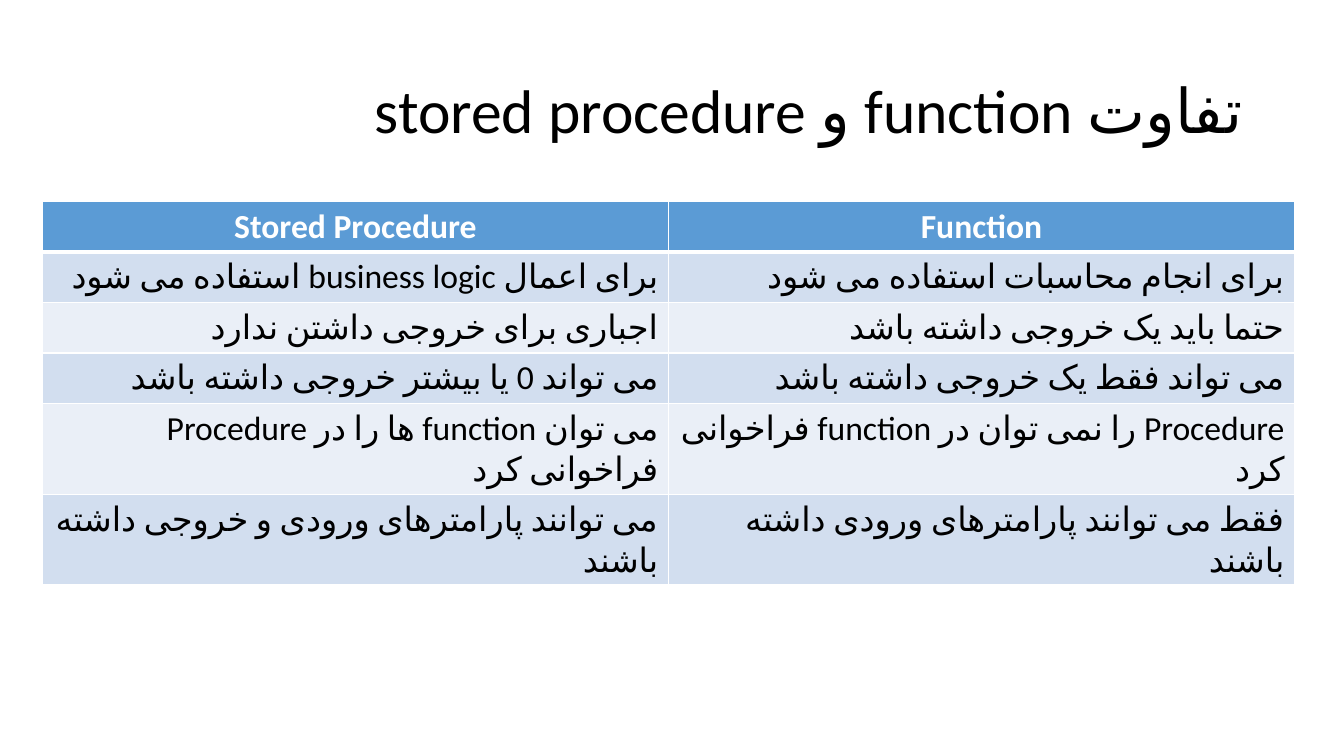
from lxml import etree
from pptx import Presentation
from pptx.dml.color import RGBColor
from pptx.enum.text import MSO_ANCHOR, PP_ALIGN
from pptx.oxml.ns import qn
from pptx.util import Inches, Pt

CENTER, RIGHT = PP_ALIGN.CENTER, PP_ALIGN.RIGHT
MIDDLE = MSO_ANCHOR.MIDDLE

# Content
TITLE = "تفاوت function و stored procedure"
ROWS = [
    ("Stored Procedure", "Function"),
    ("برای اعمال business logic استفاده می شود", "برای انجام محاسبات استفاده می شود"),
    ("اجباری برای خروجی داشتن ندارد", "حتما باید یک خروجی داشته باشد"),
    ("می تواند 0 یا بیشتر خروجی داشته باشد", "می تواند فقط یک خروجی داشته باشد"),
    ("می توان function ها را در Procedure فراخوانی کرد",
     "Procedure را نمی توان در function فراخوانی کرد"),
    ("می توانند پارامترهای ورودی و خروجی داشته باشند",
     "فقط می توانند پارامترهای ورودی داشته باشند"),
]

# Style and grid, in inches
FONT, PERSIAN = "Calibri", "fa-IR"
BLACK, WHITE = "000000", "FFFFFF"
HEADER_FILL, BANDS = "5B9BD5", ("EAEFF7", "D2DEEF")
WIDTH, HEIGHT = 13.33, 7.5
TITLE_BOX = (0.92, 0.4, 11.5, 1.45)
TABLE_LEFT, TABLE_TOP = 0.42, 2
COL_WIDTH, ROW_HEIGHT = 6.21, 0.41


def rgb(value):
    return RGBColor.from_string(value)


def write(tf, text, size=24, color=BLACK, bold=False, align=RIGHT, rtl=True, spacing=None):
    p = tf.paragraphs[0]
    p.alignment = align
    p.line_spacing = spacing
    r = p.add_run()
    r.text = text
    r.font.name, r.font.size, r.font.bold = FONT, Pt(size), bold
    r.font.color.rgb = rgb(color)
    if rtl:
        p._p.get_or_add_pPr().set("rtl", "1")
        r_pr = r._r.get_or_add_rPr()
        r_pr.set("lang", PERSIAN)
        etree.SubElement(r_pr, qn("a:cs"), typeface=FONT)


def set_borders(cell, **widths):
    tc_pr = cell._tc.get_or_add_tcPr()
    for i, side in enumerate("LRTB"):
        ln = etree.Element(qn(f"a:ln{side}"), w=str(Pt(widths.get(side, 1))))
        fill = etree.SubElement(ln, qn("a:solidFill"))
        etree.SubElement(fill, qn("a:srgbClr"), val=WHITE)
        tc_pr.insert(i, ln)


prs = Presentation()
prs.slide_width, prs.slide_height = Inches(WIDTH), Inches(HEIGHT)
s = prs.slides.add_slide(prs.slide_layouts[6])

# Title
tf = s.shapes.add_textbox(*map(Inches, TITLE_BOX)).text_frame
tf.word_wrap = True
tf.vertical_anchor = MIDDLE
write(tf, TITLE, size=44, spacing=0.9)

# Comparison table
n_rows, n_cols = len(ROWS), len(ROWS[0])
table = s.shapes.add_table(
    n_rows, n_cols, Inches(TABLE_LEFT), Inches(TABLE_TOP),
    Inches(n_cols * COL_WIDTH), Inches(n_rows * ROW_HEIGHT)).table
for column in table.columns:
    column.width = Inches(COL_WIDTH)
for i, row in enumerate(ROWS):
    table.rows[i].height = Inches(ROW_HEIGHT)
    for j, text in enumerate(row):
        cell = table.cell(i, j)
        cell.fill.solid()
        if i == 0:
            cell.fill.fore_color.rgb = rgb(HEADER_FILL)
            set_borders(cell, B=3)
            write(cell.text_frame, text, color=WHITE, bold=True, align=CENTER, rtl=False)
        else:
            cell.fill.fore_color.rgb = rgb(BANDS[i % 2])
            set_borders(cell, T=3 if i == 1 else 1)
            write(cell.text_frame, text)

prs.save("out.pptx")
